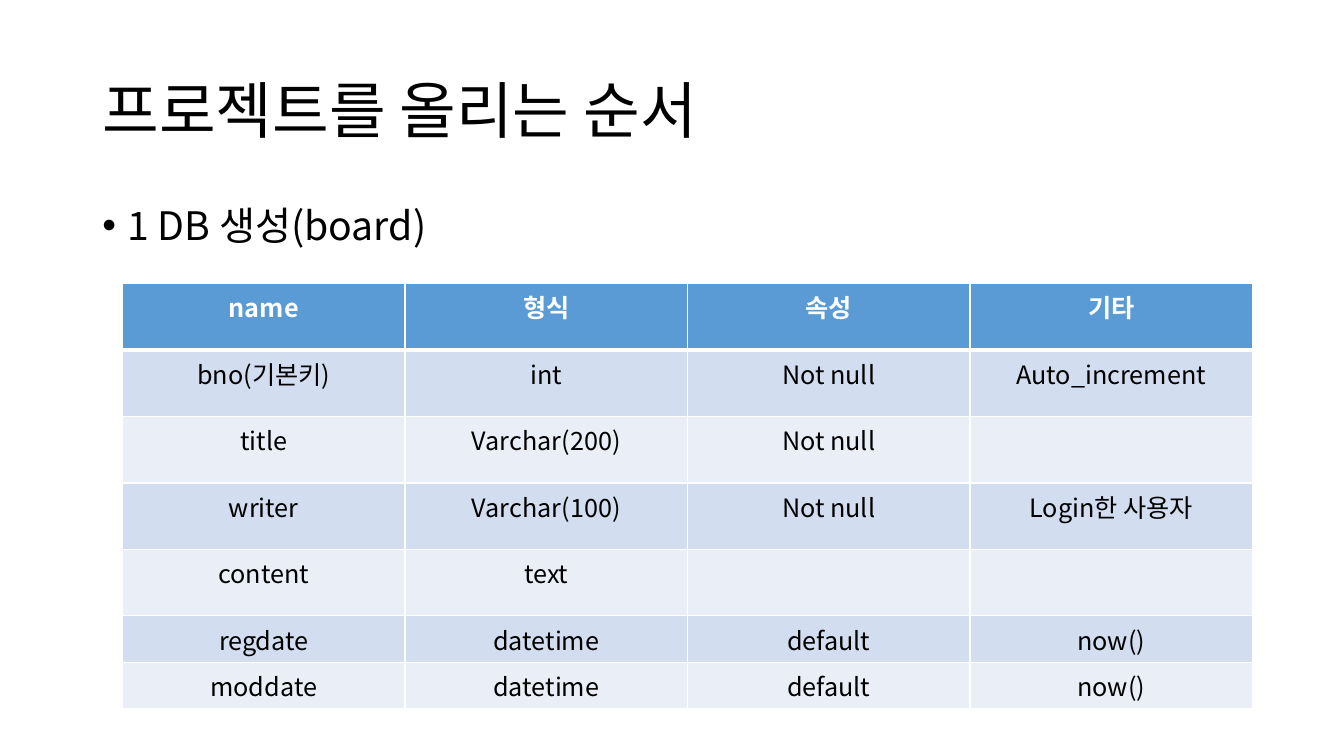
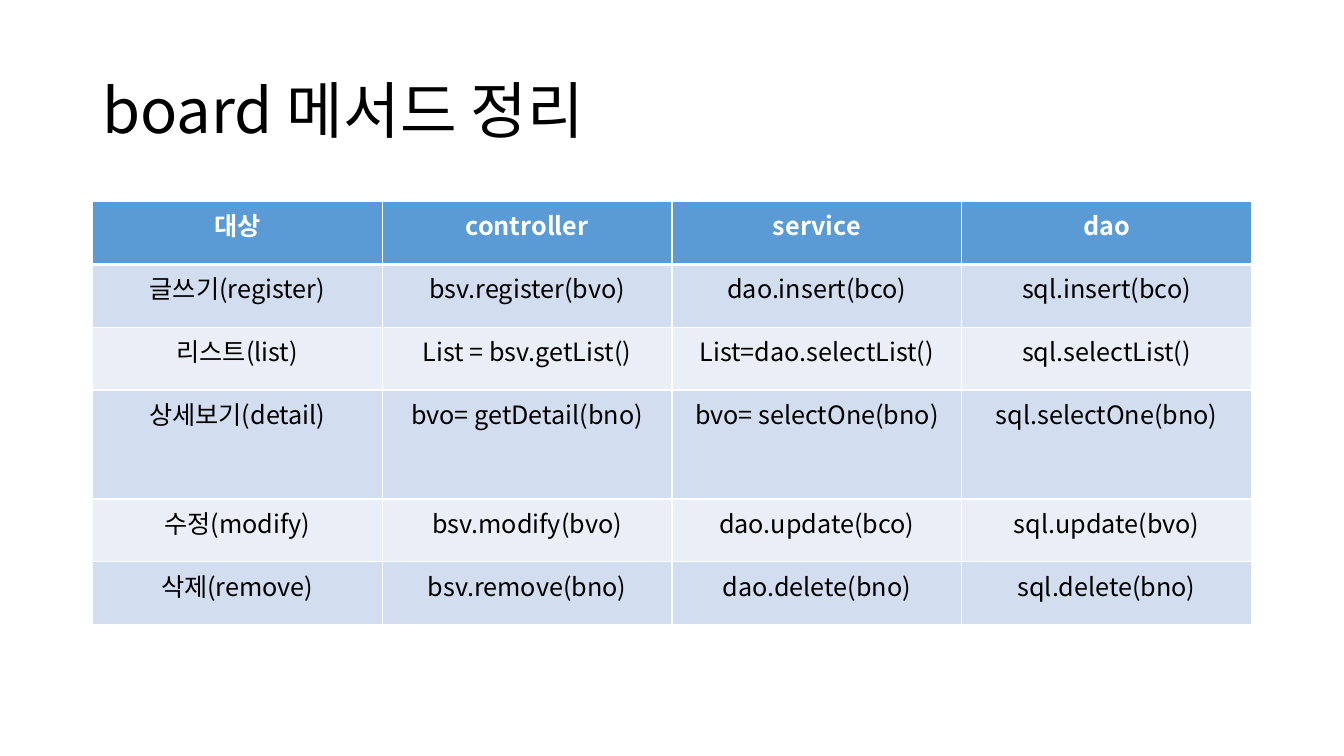
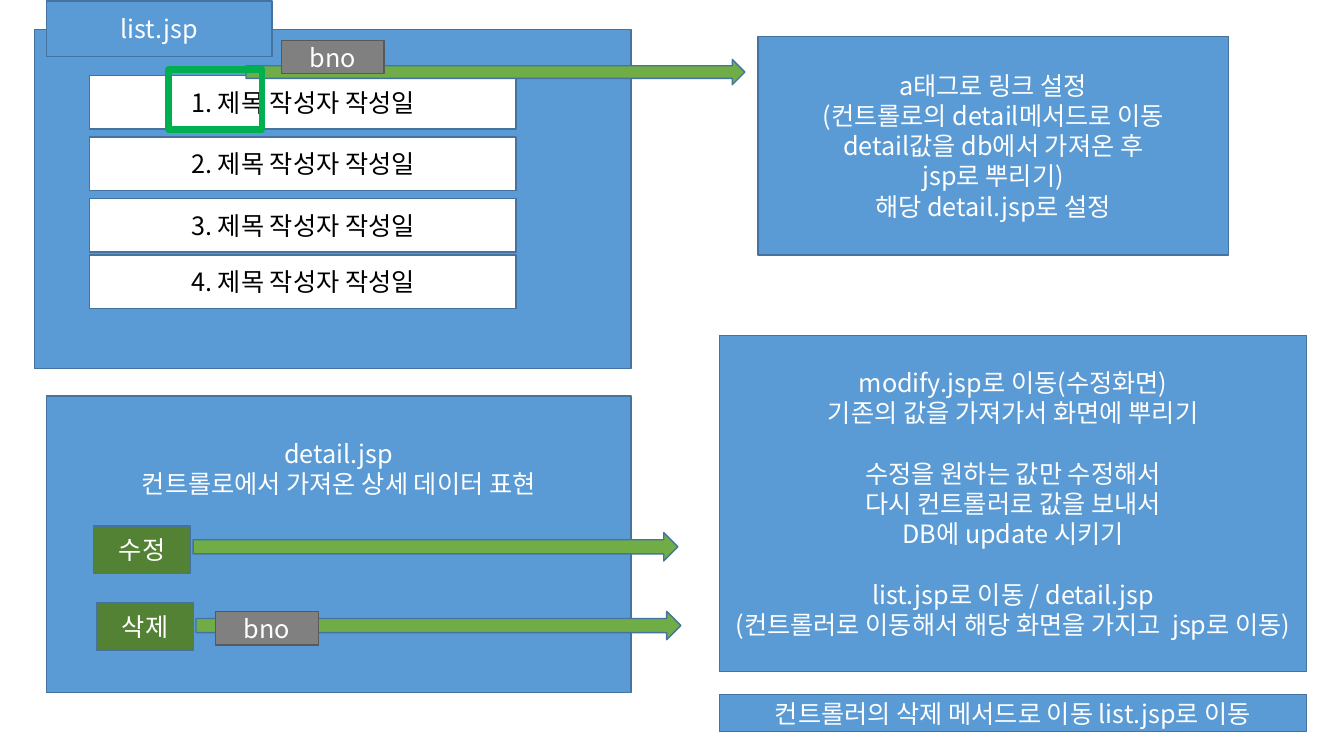
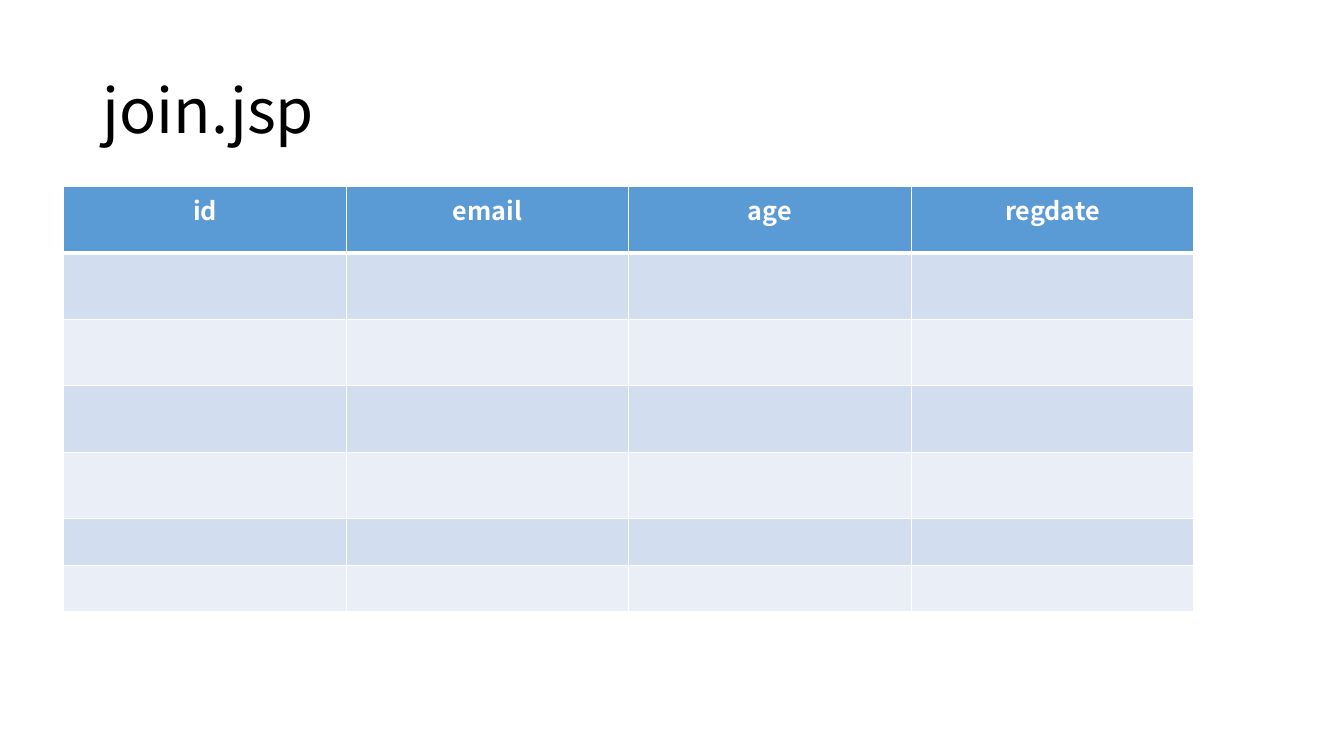
from dataclasses import dataclass

from lxml.etree import SubElement
from pptx import Presentation
from pptx.dml.color import RGBColor
from pptx.enum.shapes import MSO_SHAPE
from pptx.enum.text import MSO_ANCHOR, MSO_AUTO_SIZE, PP_ALIGN
from pptx.oxml.ns import qn
from pptx.util import Pt


@dataclass(frozen=True)
class Theme:
    font: str = "Noto Sans CJK KR"
    head: int = 44
    lead: int = 28
    body: int = 18
    line: float = 21.6
    black: str = "000000"
    white: str = "FFFFFF"
    blue: str = "5B9BD5"
    navy: str = "43739E"
    band: str = "D2DEEF"
    pale: str = "EAEFF7"
    green: str = "70AD47"
    moss: str = "548235"
    lime: str = "00B050"
    gray: str = "808080"
    dark: str = "595959"


theme = Theme()


def write(frame, text, size=theme.body, color=theme.black, bold=False,
          align=PP_ALIGN.CENTER, space=None, gaps=()):
    """Fill a frame, one paragraph a line; gaps lists lines with space above."""
    frame.word_wrap = True
    for at, line in enumerate(text.split("\n")):
        para = frame.paragraphs[0] if at == 0 else frame.add_paragraph()
        para.alignment = align
        para.line_spacing = space
        if at in gaps:
            para.space_before = Pt(theme.line)
        run = para.add_run()
        run.text = line
        font = run.font
        font.name, font.size, font.bold = theme.font, Pt(size), bold
        font.color.rgb = RGBColor.from_string(color)
        east = SubElement(run._r.get_or_add_rPr(), qn("a:ea"))
        east.set("typeface", theme.font)


def draw(slide, kind, area, fill=None, line=theme.navy, width=1):
    shape = slide.shapes.add_shape(kind, *map(Pt, area))
    shape.shadow.inherit = False
    if fill:
        shape.fill.solid()
        shape.fill.fore_color.rgb = RGBColor.from_string(fill)
    else:
        shape.fill.background()
    shape.line.color.rgb = RGBColor.from_string(line)
    shape.line.width = Pt(width)
    return shape


deck = Presentation()
deck.slide_width, deck.slide_height = Pt(960), Pt(540)

# Each page: title, title width, table left, top, column width, row heights, cells
tall = [47.5] * 5 + [33.3] * 2
fields = [
    ["name", "형식", "속성", "기타"],
    ["bno(기본키)", "int", "Not null", "Auto_increment"],
    ["title", "Varchar(200)", "Not null", ""],
    ["writer", "Varchar(100)", "Not null", "Login한 사용자"],
    ["content", "text", "", ""],
    ["regdate", "datetime", "default", "now()"],
    ["moddate", "datetime", "default", "now()"],
]
calls = [
    ["대상", "controller", "service", "dao"],
    ["글쓰기(register)", "bsv.register(bvo)", "dao.insert(bco)", "sql.insert(bco)"],
    ["리스트(list)", "List = bsv.getList()", "List=dao.selectList()", "sql.selectList()"],
    ["상세보기(detail)", "bvo= getDetail(bno)", "bvo= selectOne(bno)", "sql.selectOne(bno)"],
    ["수정(modify)", "bsv.modify(bvo)", "dao.update(bco)", "sql.update(bvo)"],
    ["삭제(remove)", "bsv.remove(bno)", "dao.delete(bno)", "sql.delete(bno)"],
]
users = [["id", "email", "age", "regdate"]] + [[""] * 4] * 6
pages = [
    ("프로젝트를 올리는 순서", 828, 87.5, 202.5, 201.8, tall, fields),
    ("board 메서드 정리", 828, 66, 144, 207, [44.9] * 3 + [77.8] + [44.9] * 2, calls),
    None,
    ("join.jsp", 303, 45.5, 133.2, 201.8, tall, users),
]

for page in pages:
    slide = deck.slides.add_slide(deck.slide_layouts[5 if page else 6])
    if not page:
        continue
    name, wide, left, top, step, highs, cells = page
    title = slide.shapes.title
    title.left, title.top, title.width, title.height = map(Pt, (66, 28.8, wide, 104.4))
    frame = title.text_frame
    frame.auto_size = MSO_AUTO_SIZE.NONE
    frame.vertical_anchor = MSO_ANCHOR.MIDDLE
    write(frame, name, size=theme.head, align=PP_ALIGN.LEFT, space=0.9)

    area = map(Pt, (left, top, step * 4, sum(highs)))
    table = slide.shapes.add_table(len(cells), 4, *area).table
    for col in table.columns:
        col.width = Pt(step)
    for r, (high, texts) in enumerate(zip(highs, cells)):
        table.rows[r].height = Pt(high)
        for c, text in enumerate(texts):
            cell = table.cell(r, c)
            props = cell._tc.get_or_add_tcPr()
            for side in "LRTB":
                thick = 3 if (r, side) in ((0, "B"), (1, "T")) else 1
                edge = SubElement(props, qn(f"a:ln{side}"), w=str(Pt(thick)))
                paint = SubElement(edge, qn("a:solidFill"))
                SubElement(paint, qn("a:srgbClr"), val=theme.white)
            cell.fill.solid()
            tint = theme.band if r % 2 else theme.pale
            cell.fill.fore_color.rgb = RGBColor.from_string(tint if r else theme.blue)
            if text:
                write(cell.text_frame, text, bold=r == 0,
                      color=theme.black if r else theme.white)

# Bullet on the first slide
note = deck.slides[0].shapes.add_textbox(*map(Pt, (66, 144, 828, 50))).text_frame
write(note, "1 DB 생성(board)", size=theme.lead, align=PP_ALIGN.LEFT, space=0.9)
props = note.paragraphs[0]._p.get_or_add_pPr()
props.set("marL", str(Pt(18)))
props.set("indent", str(-Pt(18)))
SubElement(props, qn("a:buFont"), typeface="Arial")
SubElement(props, qn("a:buChar"), char="•")

# Page flow on the third slide
flow = deck.slides[2]
draw(flow, MSO_SHAPE.RECTANGLE, (24.5, 20.9, 426.2, 242.6), theme.blue)
for num, top in enumerate((54, 97.9, 141.8, 182.2), 1):
    row = draw(flow, MSO_SHAPE.RECTANGLE, (64.1, top, 304.6, 38.2), theme.white)
    write(row.text_frame, f"{num}. 제목 작성자 작성일")

link = """a태그로 링크 설정
(컨트롤로의 detail메서드로 이동
detail값을 db에서 가져온 후
jsp로 뿌리기)
해당 detail.jsp로 설정"""
edit = """modify.jsp로 이동(수정화면)
기존의 값을 가져가서 화면에 뿌리기
수정을 원하는 값만 수정해서
다시 컨트롤러로 값을 보내서
DB에 update 시키기
list.jsp로 이동 / detail.jsp
(컨트롤러로 이동해서 해당 화면을 가지고  jsp로 이동)"""
view = "detail.jsp\n컨트롤로에서 가져온 상세 데이터 표현"
drop = "컨트롤러의 삭제 메서드로 이동 list.jsp로 이동"
boxes = [
    (33.1, 0.7, 161.3, 39.6, theme.blue, "list.jsp"),
    (541.4, 25.9, 336.2, 156.2, theme.blue, link),
    (33.1, 283, 417.6, 211.7, theme.blue, view),
    (67, 375.8, 69.1, 33.8, theme.moss, "수정"),
    (69.1, 430.6, 69.1, 33.8, theme.moss, "삭제"),
    (514.1, 239.8, 419, 239.8, theme.blue, edit),
    (514.1, 496.1, 419, 26.6, theme.blue, drop),
]
for *area, fill, text in boxes:
    box = draw(flow, MSO_SHAPE.RECTANGLE, area, fill)
    write(box.text_frame, text, color=theme.white,
          space=Pt(theme.line) if "\n" in text else None,
          gaps=(2, 5) if text == edit else ())
    if text == view:
        box.text_frame.vertical_anchor = MSO_ANCHOR.TOP
        box.text_frame.margin_top = Pt(30)

for area in ((175.7, 42.5, 356.4, 18),
             (137.9, 380.5, 346.3, 20.2),
             (140, 436.7, 346.3, 20.2)):
    draw(flow, MSO_SHAPE.RIGHT_ARROW, area, theme.green)
draw(flow, MSO_SHAPE.RECTANGLE, (120.2, 49.7, 67, 42.5), line=theme.lime, width=5)
for left, top in ((154.1, 437), (200.9, 28.8)):
    tag = draw(flow, MSO_SHAPE.RECTANGLE, (left, top, 73.4, 23.8), theme.gray, theme.dark)
    write(tag.text_frame, "bno", color=theme.white)

deck.save("out.pptx")
